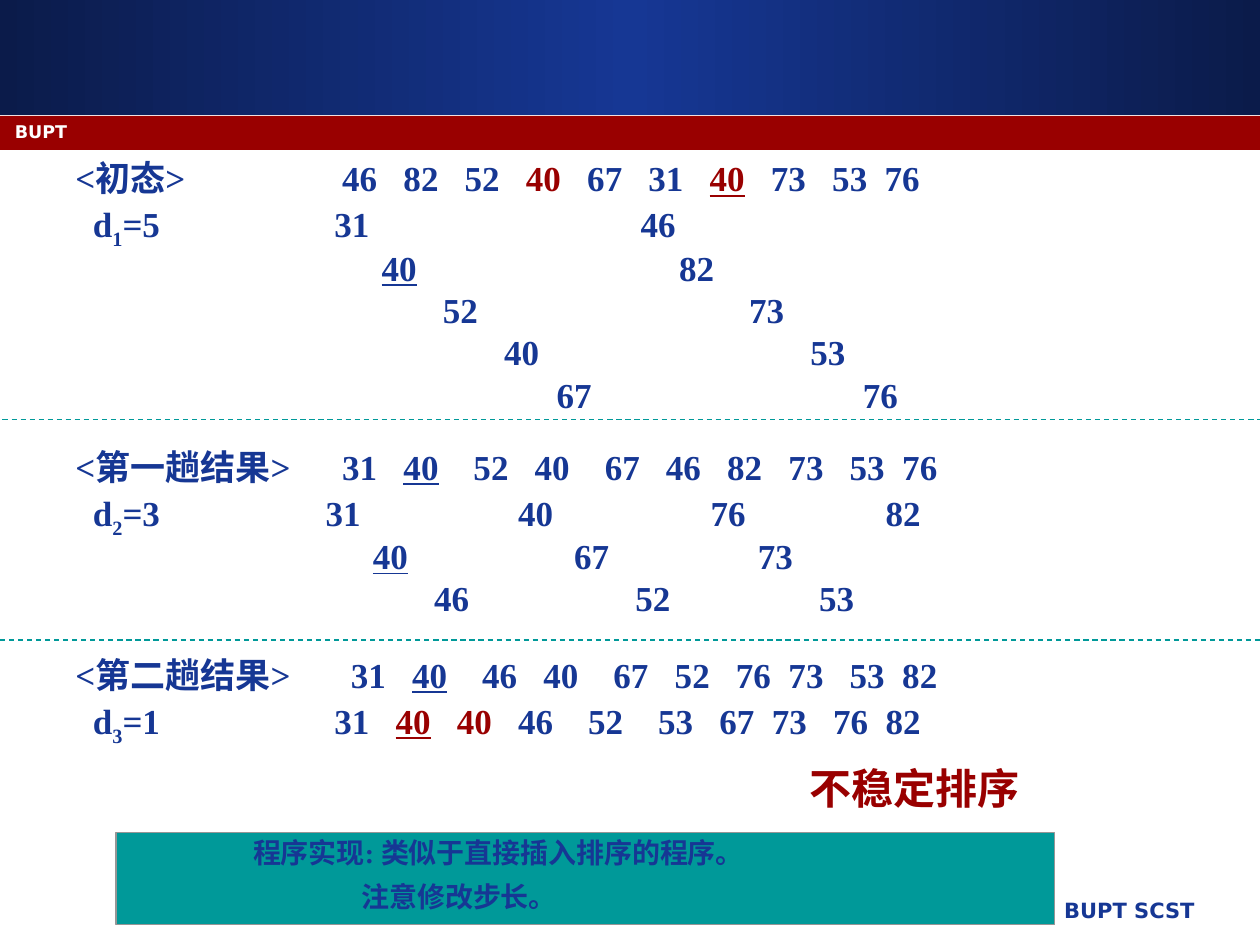
from itertools import accumulate

from lxml.etree import SubElement
from copy import deepcopy
from pptx import Presentation
from pptx.dml.color import RGBColor
from pptx.enum.dml import MSO_LINE
from pptx.enum.shapes import MSO_CONNECTOR, MSO_SHAPE
from pptx.enum.text import MSO_ANCHOR, PP_ALIGN
from pptx.oxml.ns import qn
from pptx.util import Inches, Pt

COLORS = {
    "navy": "163794",
    "night": "0B1B4A",
    "red": "990000",
    "teal": "009999",
    "gray": "969696",
    "white": "FFFFFF",
}
SERIF = "Times New Roman"
SANS = "DejaVu Sans"
COLUMNS, ROWS = 100, 75
SPACE = Pt(5)
NUMBER_SPACES = 4


def rgb(name):
    return RGBColor.from_string(COLORS[name])


class SlideBuilder:
    def __init__(self, deck):
        self.column = deck.slide_width / COLUMNS
        self.row = deck.slide_height / ROWS
        self.slide = deck.slides.add_slide(deck.slide_layouts[6])

    def place(self, left, top, width, height):
        return (round(left * self.column), round(top * self.row),
                round(width * self.column), round(height * self.row))

    def style(self, font, size, color, face=SERIF):
        font.name, font.size, font.bold = face, Pt(size), True
        font.color.rgb = rgb(color)

    def bar(self, area, color, border=None):
        bar = self.slide.shapes.add_shape(MSO_SHAPE.RECTANGLE, *self.place(*area))
        bar.shadow.inherit = False
        bar.fill.solid()
        bar.fill.fore_color.rgb = rgb(color)
        if border:
            bar.line.color.rgb = rgb(border)
            bar.line.width = Pt(0.75)
        else:
            bar.line.fill.background()
        return bar

    def banner(self, area, edge, middle):
        banner = self.bar(area, edge)
        banner.fill.gradient()
        banner.fill.gradient_angle = 0
        first, center = banner.fill.gradient_stops
        first.color.rgb, first.position = rgb(edge), 0
        center.color.rgb, center.position = rgb(middle), 0.5
        stops = banner.fill._fill._gradFill.gsLst
        last = deepcopy(stops[0])
        last.set("pos", "100000")
        stops.append(last)

    def text(self, area, words, size, color, face=SERIF, align=PP_ALIGN.LEFT,
             anchor=MSO_ANCHOR.TOP):
        frame = self.frame(area)
        frame.vertical_anchor = anchor
        frame.text = words
        frame.paragraphs[0].alignment = align
        self.style(frame.paragraphs[0].runs[0].font, size, color, face)

    def frame(self, area):
        frame = self.slide.shapes.add_textbox(*self.place(*area)).text_frame
        frame.word_wrap = True
        return frame

    def run(self, paragraph, words, color="navy", underline=False, subscript=False):
        run = paragraph.add_run()
        run.text = words
        self.style(run.font, 20, color)
        if underline:
            run.font.underline = True
        if subscript:
            run.font._element.set("baseline", "-25000")

    def sort_pass(self, top, height, lines):
        frame = self.frame((5, top, 90, height))
        for index, (label, start, gaps, numbers) in enumerate(lines):
            paragraph = frame.paragraphs[0] if index == 0 else frame.add_paragraph()
            paragraph.line_spacing = 0.8
            if index:
                paragraph.space_before = Pt(5)
            tabs = SubElement(paragraph._p.get_or_add_pPr(), qn("a:tabLst"))
            for stop in accumulate([start] + [gap + NUMBER_SPACES for gap in gaps]):
                SubElement(tabs, qn("a:tab"), pos=str(round(stop * SPACE)), algn="l")
            self.label(paragraph, label)
            for number in numbers.split():
                self.run(paragraph, "\t")
                self.run(paragraph, number.strip("*_"),
                         color="red" if "*" in number else "navy",
                         underline="_" in number)

    def label(self, paragraph, label):
        if label.startswith("d"):
            paragraph._p.get_or_add_pPr().set("marL", str(2 * SPACE))
            self.run(paragraph, label[0])
            self.run(paragraph, label[1], subscript=True)
            self.run(paragraph, label[2:])
        elif label:
            self.run(paragraph, label)

    def note(self, area, lines):
        frame = self.bar(area, "teal", "gray").text_frame
        frame.word_wrap = True
        frame.vertical_anchor = MSO_ANCHOR.TOP
        for index, (indent, words) in enumerate(lines):
            paragraph = frame.paragraphs[0] if index == 0 else frame.add_paragraph()
            paragraph.text = words
            paragraph.alignment = PP_ALIGN.LEFT
            paragraph.line_spacing = 0.9
            if index:
                paragraph.space_before = Pt(8)
            paragraph._p.get_or_add_pPr().set("marL", str(round(indent * self.column)))
            self.style(paragraph.runs[0].font, 16, "navy")

    def divider(self, left, top):
        x, y, width, _ = self.place(left, top, COLUMNS, 0)
        divider = self.slide.shapes.add_connector(
            MSO_CONNECTOR.STRAIGHT, x, y, x + width, y)
        divider.line.color.rgb = rgb("teal")
        divider.line.width = Pt(0.75)
        divider.line.dash_style = MSO_LINE.DASH
        SubElement(divider._element.spPr, qn("a:effectLst"))


INITIAL = [
    ("<初态>", 30.5, [3] * 8 + [2], "46 82 52 *40 67 31 *_40 73 53 76"),
    ("d1=5", 27.6, [31], "31 46"),
    ("", 35, [30], "_40 82"),
    ("", 42, [31], "52 73"),
    ("", 49, [31], "40 53"),
    ("", 55, [31], "67 76"),
]
FIRST_PASS = [
    ("<第一趟结果>", 30.5, [3, 4, 3, 4, 3, 3, 3, 3, 2],
     "31 _40 52 40 67 46 82 73 53 76"),
    ("d2=3", 26.6, [18, 18, 16], "31 40 76 82"),
    ("", 34, [19, 17], "_40 67 73"),
    ("", 41, [19, 17], "46 52 53"),
]
SECOND_PASS = [
    ("<第二趟结果>", 31.5, [3, 4, 3, 4, 3, 3, 2, 3, 2],
     "31 _40 46 40 67 52 76 73 53 82"),
    ("d3=1", 27.6, [3, 3, 3, 4, 4, 3, 2, 3, 2],
     "31 *_40 *40 46 52 53 67 73 76 82"),
]


def main():
    deck = Presentation()
    deck.slide_width, deck.slide_height = Inches(10), Inches(7.5)
    page = SlideBuilder(deck)

    page.banner((0, 0, COLUMNS, 9.1), "night", "navy")
    page.bar((0, 9.2, COLUMNS, 2.7), "red")
    page.text((42.1, 70.7, 53.7, 3.5), "BUPT SCST", 12, "navy", SANS, PP_ALIGN.RIGHT)
    page.text((0.2, 9.2, 92.5, 2.5), "BUPT", 10, "white", SANS,
              anchor=MSO_ANCHOR.MIDDLE)

    page.sort_pass(12.6, 20, INITIAL)
    page.sort_pass(35.5, 14, FIRST_PASS)
    page.sort_pass(52, 8, SECOND_PASS)

    page.text((63.3, 60, 20, 5), "不稳定排序", 24, "red")
    page.note((9.2, 66.1, 74.5, 7.3), [
        (9.9, "程序实现: 类似于直接插入排序的程序。"),
        (18.5, "注意修改步长。"),
    ])
    page.divider(0.2, 33.3)
    page.divider(0, 50.8)
    deck.save("out.pptx")


if __name__ == "__main__":
    main()
